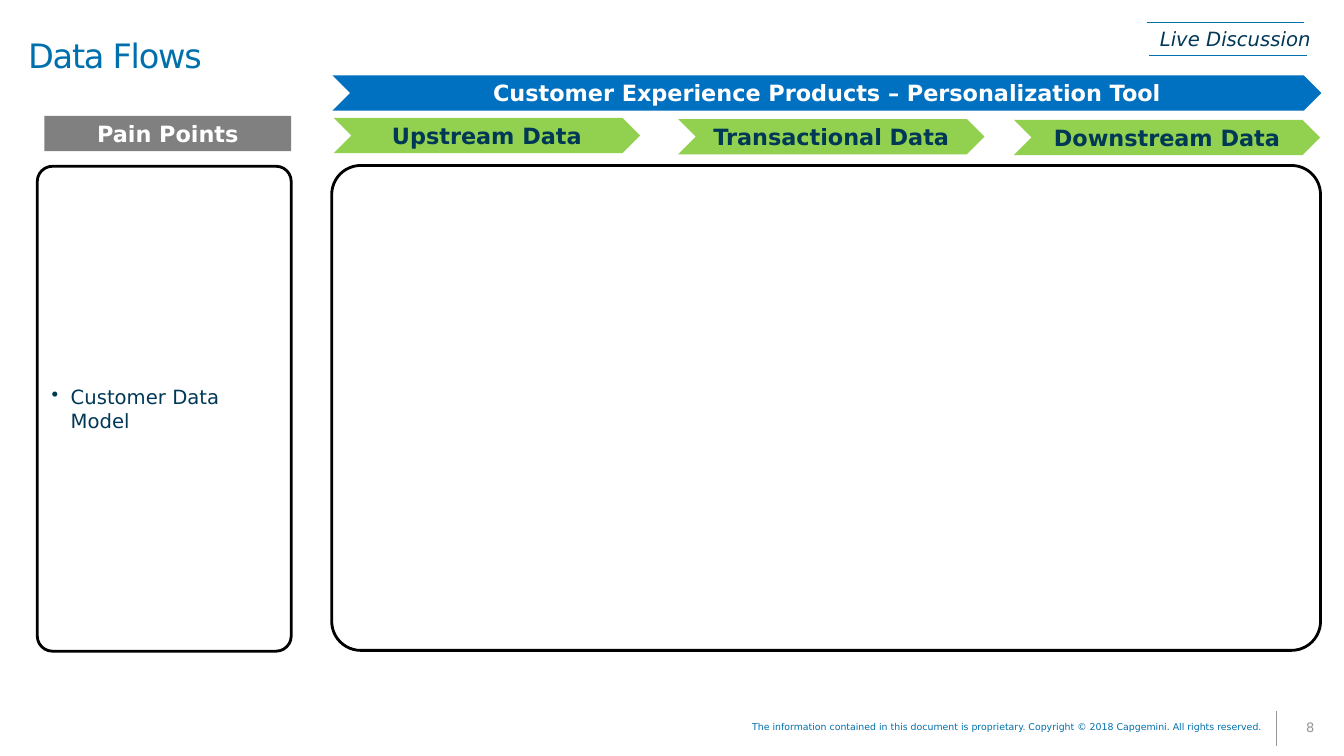
from lxml.etree import SubElement
from pptx import Presentation
from pptx.dml.color import RGBColor
from pptx.enum.shapes import MSO_CONNECTOR as Connector, MSO_SHAPE as Shape
from pptx.enum.text import MSO_ANCHOR as Anchor, PP_ALIGN as Align
from pptx.oxml.ns import qn
from pptx.util import Cm, Pt

FONT = "DejaVu Sans"
WHITE = RGBColor(0xFF, 0xFF, 0xFF)
BLACK = RGBColor(0x00, 0x00, 0x00)
NAVY = RGBColor(0x00, 0x38, 0x56)
TEAL = RGBColor(0x00, 0x70, 0xAD)
BLUE = RGBColor(0x00, 0x70, 0xC0)
GREEN = RGBColor(0x92, 0xD0, 0x50)
GREY = RGBColor(0x80, 0x80, 0x80)
SILVER = RGBColor(0x96, 0x96, 0x96)

BAR_HEIGHT = 0.89
STAGE_WIDTH = 7.72
STAGES = [
    ("Upstream Data", 8.41, 2.97),
    ("Transactional Data", 17.09, 3),
    ("Downstream Data", 25.55, 3.02),
]


def apply(target, values):
    """Set every attribute in the dict of format values."""
    for name, value in values.items():
        setattr(target, name, value)


def write(box, text, size, color, para_format=None, **font):
    """Write one formatted paragraph into a shape and return it."""
    para = box.text_frame.paragraphs[0]
    apply(para, para_format or {})
    span = para.add_run()
    span.text = text
    apply(span.font, {"name": FONT, "size": Pt(size), **font})
    span.font.color.rgb = color
    return para


def add_label(page, place, text, size, color, frame=None, para_format=None, **font):
    """Add a text box with one paragraph and return the paragraph."""
    box = page.shapes.add_textbox(*map(Cm, place))
    apply(box.text_frame, {"word_wrap": True, **(frame or {})})
    return write(box, text, size, color, para_format, **font)


def add_block(page, kind, place, fill, adjust):
    """Add a filled preset shape without outline or shadow."""
    block = page.shapes.add_shape(kind, *map(Cm, place))
    block.shadow.inherit = False
    block.adjustments[0] = adjust
    block.fill.solid()
    block.fill.fore_color.rgb = fill
    block.line.fill.background()
    apply(block.text_frame, {"word_wrap": True, "vertical_anchor": Anchor.MIDDLE})
    return block


def add_bar(page, place, text, fill, color, adjust=0.5):
    """Add a chevron bar with a bold centred caption."""
    bar = add_block(page, Shape.CHEVRON, place, fill, adjust)
    write(bar, text, 16, color, {"alignment": Align.CENTER}, bold=True)


def add_panel(page, place):
    """Add a white rounded panel with a black outline."""
    panel = add_block(page, Shape.ROUNDED_RECTANGLE, place, WHITE, 0.06)
    panel.line.color.rgb = BLACK
    panel.line.width = Pt(2)
    return panel


def add_rule(page, ends, color):
    """Add a thin straight line between two points."""
    rule = page.shapes.add_connector(Connector.STRAIGHT, *map(Cm, ends))
    rule.line.color.rgb = color
    rule.line.width = Pt(0.75)
    SubElement(rule._element.spPr, qn("a:effectLst"))


def add_bullet(para, indent):
    """Give a paragraph a hanging round bullet."""
    props = para._p.get_or_add_pPr()
    props.set("marL", str(Cm(indent)))
    props.set("indent", str(-Cm(indent)))
    SubElement(props, qn("a:buChar")).set("char", "•")


def add_footer(page):
    """Add the copyright line, divider and page number."""
    add_rule(page, (32.18, 17.91, 32.18, 18.8), SILVER)
    add_label(page, (32.18, 17.91, 1.68, BAR_HEIGHT), "8", 9.3, SILVER,
              {"vertical_anchor": Anchor.MIDDLE},
              {"alignment": Align.CENTER, "line_spacing": 0.85})
    add_label(page, (15.21, 18.08, 16.87, 0.51),
              "The information contained in this document is proprietary. "
              "Copyright © 2018 Capgemini. All rights reserved.", 6.7, TEAL,
              para_format={"alignment": Align.RIGHT, "line_spacing": 0.85})


def add_heading(page):
    """Add the slide title and the ruled discussion tag."""
    title = add_label(page, (0, 0, 33.87, 2.95), "Data Flows", 24, TEAL,
                      {"vertical_anchor": Anchor.MIDDLE,
                       "margin_left": Cm(0.71), "margin_right": Cm(0.38),
                       "margin_top": Cm(0.08), "margin_bottom": Cm(0.08)},
                      {"line_spacing": 0.85})
    title.runs[0]._r.get_or_add_rPr().set("spc", "-90")
    add_label(page, (28.98, 0.56, 4.32, 0.86), "Live Discussion", 14, NAVY,
              {"word_wrap": False}, italic=True)
    add_rule(page, (28.91, 0.56, 32.87, 0.56), TEAL)
    add_rule(page, (28.96, 1.4, 32.94, 1.4), TEAL)


def add_flows(page):
    """Add the product banner, the data stages and their panel."""
    add_bar(page, (8.38, 1.9, 24.92, BAR_HEIGHT),
            "Customer Experience Products – Personalization Tool", BLUE, WHITE)
    add_panel(page, (8.36, 4.17, 24.92, 12.22))
    for text, left, top in STAGES:
        add_bar(page, (left, top, STAGE_WIDTH, BAR_HEIGHT), text, GREEN, NAVY)


def add_pain_points(page):
    """Add the pain point header and its bulleted panel."""
    panel = add_panel(page, (0.94, 4.19, 6.4, 12.22))
    para = write(panel, "Customer Data Model", 14, NAVY, {"alignment": Align.LEFT})
    add_bullet(para, 0.48)
    add_bar(page, (1.12, 2.92, 6.22, BAR_HEIGHT), "Pain Points", GREY, WHITE, 0)


def main():
    """Build the slide and save the deck."""
    deck = Presentation()
    apply(deck, {"slide_width": Cm(33.87), "slide_height": Cm(19.05)})
    page = deck.slides.add_slide(deck.slide_layouts[6])
    add_footer(page)
    add_heading(page)
    add_flows(page)
    add_pain_points(page)
    deck.save("out.pptx")


if __name__ == "__main__":
    main()
